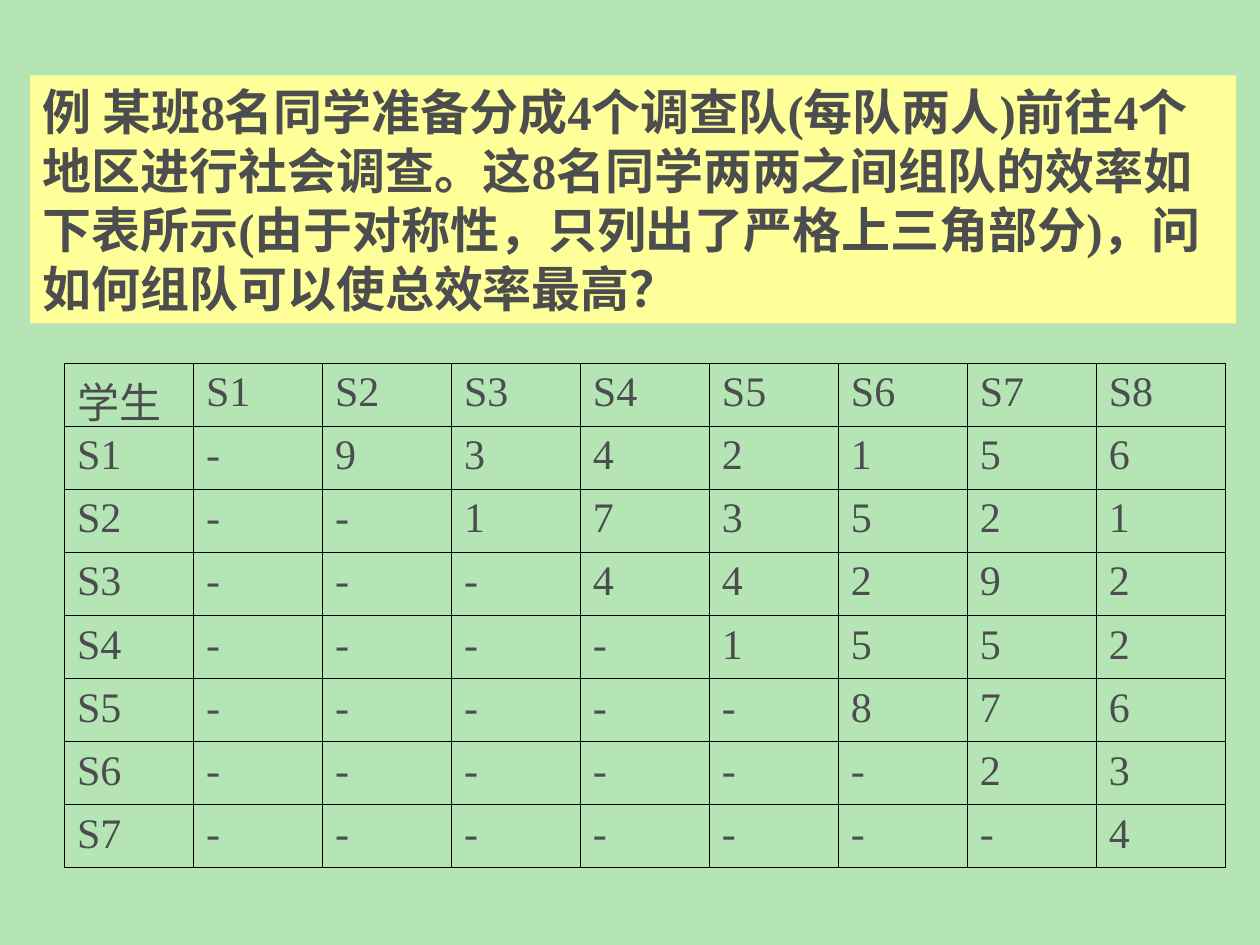
from lxml import etree
from pptx import Presentation
from pptx import util as u
from pptx.dml.color import RGBColor
from pptx.enum import lang, shapes, text
from pptx.oxml import ns

PAGE_GREEN = "B5E5B5"
QUESTION_YELLOW = "FFFF99"
INK = "4B4D4F"
GRID_BLACK = "000000"

QUESTION = (
    "例 某班8名同学准备分成4个调查队(每队两人)前往4个地区进行社会调查。"
    "这8名同学两两之间组队的效率如下表所示(由于对称性，只列出了严格上三角部分)，"
    "问如何组队可以使总效率最高？"
)
# Efficiency of each student paired with every later student
EFFICIENCIES = [
    [9, 3, 4, 2, 1, 5, 6],
    [1, 7, 3, 5, 2, 1],
    [4, 4, 2, 9, 2],
    [1, 5, 5, 2],
    [8, 7, 6],
    [2, 3],
    [4],
]
STUDENTS = 8
COLUMN_WIDTH = u.Cm(2.6)
ROW_HEIGHT = u.Cm(1.27)


def paint(fill, color):
    fill.solid()
    fill.fore_color.rgb = RGBColor.from_string(color)


def write(frame, content, size, bold=False):
    frame.text = content
    paragraph = frame.paragraphs[0]
    paragraph.alignment = text.PP_ALIGN.LEFT
    for run in paragraph.runs:
        font = run.font
        font.name = "Times New Roman"
        font.size = u.Pt(size)
        font.bold = bold
        font.color.rgb = RGBColor.from_string(INK)
        font.language_id = lang.MSO_LANGUAGE_ID.SIMPLIFIED_CHINESE


def add_question(slide):
    question = slide.shapes.add_shape(
        shapes.MSO_SHAPE.RECTANGLE, u.Cm(0.61), u.Cm(1.52), u.Cm(24.31), u.Cm(5)
    )
    question.shadow.inherit = False
    paint(question.fill, QUESTION_YELLOW)
    question.line.fill.background()
    frame = question.text_frame
    frame.word_wrap = True
    frame.auto_size = text.MSO_AUTO_SIZE.SHAPE_TO_FIT_TEXT
    frame.vertical_anchor = text.MSO_ANCHOR.MIDDLE
    write(frame, QUESTION, 28, bold=True)


def outline(cell, color, width):
    """Draw all four borders; call before setting the cell's fill."""
    properties = cell._tc.get_or_add_tcPr()
    for side in ("lnL", "lnR", "lnT", "lnB"):
        border = etree.SubElement(properties, ns.qn(f"a:{side}"), w=str(u.Pt(width)))
        solid = etree.SubElement(border, ns.qn("a:solidFill"))
        etree.SubElement(solid, ns.qn("a:srgbClr"), val=color)


def efficiency_rows():
    """Header row, then each student's row with dashes up to the diagonal."""
    names = [f"S{number}" for number in range(1, STUDENTS + 1)]
    rows = [["学生", *names]]
    for index, (name, scores) in enumerate(zip(names, EFFICIENCIES)):
        rows.append([name, *["-"] * (index + 1), *map(str, scores)])
    return rows


def add_efficiency_table(slide):
    rows = efficiency_rows()
    columns = len(rows[0])
    table = slide.shapes.add_table(
        len(rows), columns, u.Cm(1.3), u.Cm(7.32),
        COLUMN_WIDTH * columns, ROW_HEIGHT * len(rows),
    ).table
    table.first_row = False
    table.horz_banding = False
    for row_index, row in enumerate(rows):
        for column_index, value in enumerate(row):
            cell = table.cell(row_index, column_index)
            outline(cell, GRID_BLACK, 0.45)
            cell.fill.background()
            write(cell.text_frame, value, 24)


def main():
    deck = Presentation()
    deck.slide_width = u.Cm(25.4)
    deck.slide_height = u.Cm(19.05)
    slide = deck.slides.add_slide(deck.slide_layouts[6])
    paint(slide.background.fill, PAGE_GREEN)
    add_question(slide)
    add_efficiency_table(slide)
    deck.save("out.pptx")


if __name__ == "__main__":
    main()
